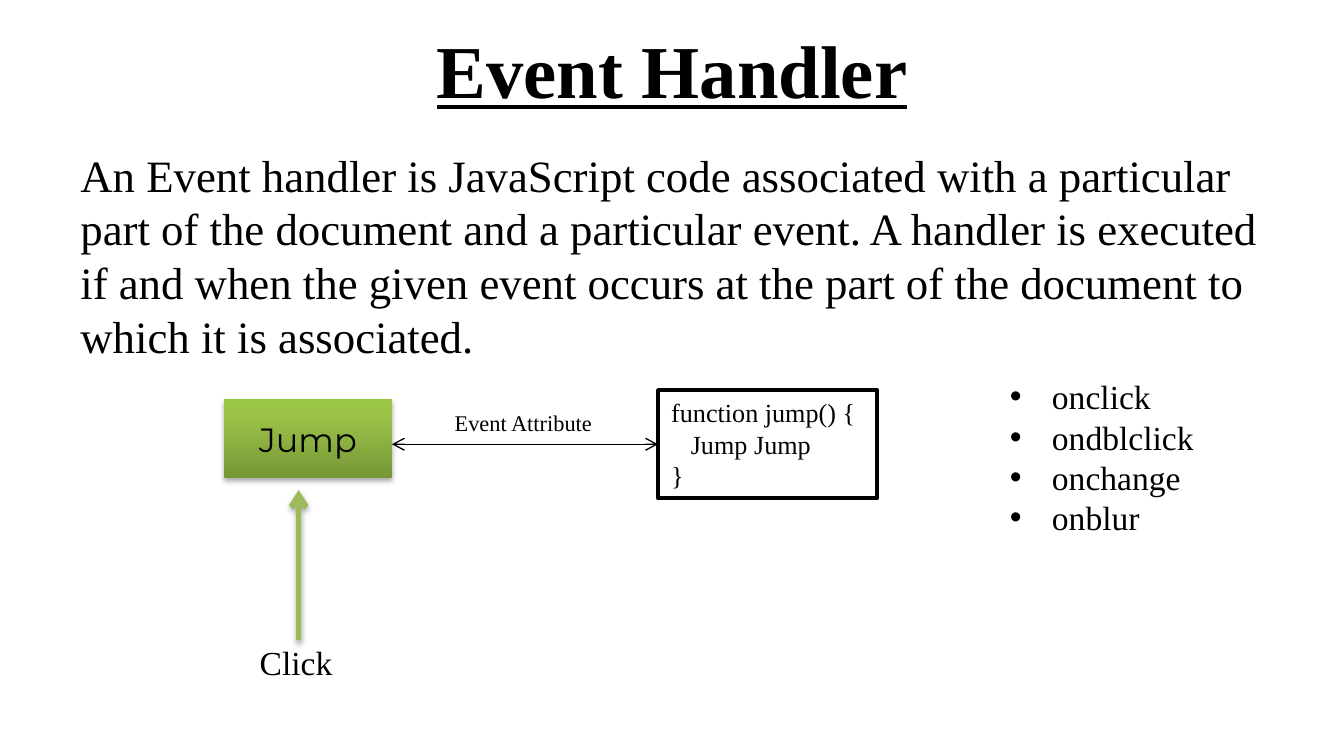
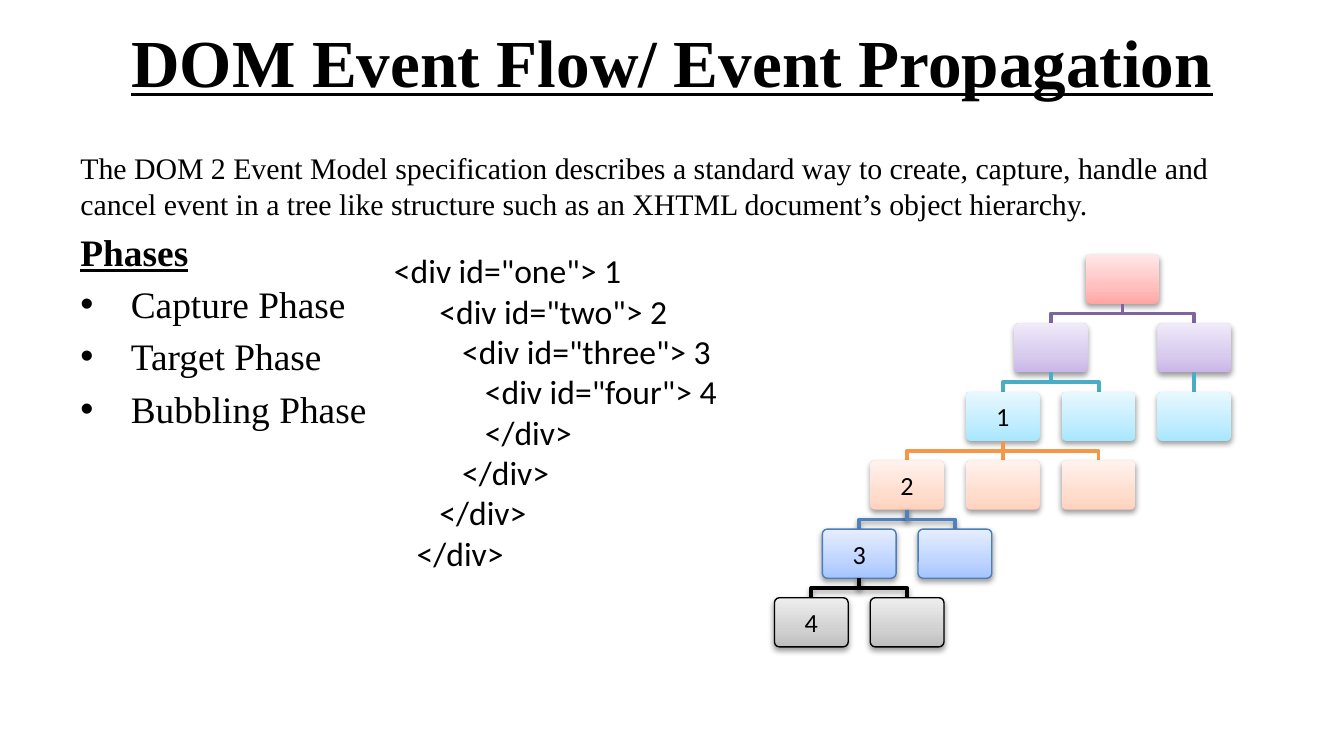
from dataclasses import dataclass, field
from typing import Any, NamedTuple, Optional

from lxml import etree
from pptx import Presentation
from pptx import util as u
from pptx.dml import color
from pptx.enum import shapes, text
from pptx.oxml import ns

Pt = u.Pt
BLACK = color.RGBColor(0x00, 0x00, 0x00)
WHITE = color.RGBColor(0xFF, 0xFF, 0xFF)
GREEN = color.RGBColor(0x9B, 0xBB, 0x59)
PURPLE = color.RGBColor(0x80, 0x64, 0xA2)
TEAL = color.RGBColor(0x4B, 0xAC, 0xC6)
ORANGE = color.RGBColor(0xF7, 0x96, 0x46)
BLUE = color.RGBColor(0x4F, 0x81, 0xBD)
BLUE_EDGE = color.RGBColor(0x4B, 0x7E, 0xBC)

SERIF, SANS, ROUNDED = "Times New Roman", "Calibri", "Montserrat"
TITLE_ONLY = 5
LEFT, CENTER = text.PP_ALIGN.LEFT, text.PP_ALIGN.CENTER
TOP, MIDDLE = text.MSO_ANCHOR.TOP, text.MSO_ANCHOR.MIDDLE
HEADING = {"bold": True, "underline": True}


class Box(NamedTuple):
    left: float
    top: float
    width: float
    height: float


class Stop(NamedTuple):
    percent: int
    rgb: str


class Shadow(NamedTuple):
    opacity: int
    blur: float
    distance: float


class LevelStyle(NamedTuple):
    stops: list[Stop]
    branch: color.RGBColor
    edge: Optional[color.RGBColor] = None


class Node(NamedTuple):
    level: int
    slot: float
    parent_slot: Optional[float] = None
    label: str = ""


@dataclass
class Line:
    content: str
    size: float
    face: str = SERIF
    align: Any = LEFT
    indent: float = 0
    before: float = 0
    extra: dict[str, Any] = field(default_factory=dict)


JUMP_SHADOW = Shadow(35, 3.1, 1.8)
TREE_SHADOW = Shadow(38, 3.1, 1.6)
JUMP_STOPS = [Stop(0, "779737"), Stop(80, "9BC348"), Stop(100, "9DC746")]


def tints(dark: str, medium: str, light: str) -> list[Stop]:
    return [Stop(0, dark), Stop(35, medium), Stop(100, light)]


LEVELS = [
    LevelStyle(tints("FFA6A5", "FFC0BF", "FFE7E7"), BLACK),
    LevelStyle(tints("C9B5E8", "D8CBEE", "F0EAF9"), PURPLE),
    LevelStyle(tints("A7E6FF", "C1EDFF", "E7F8FF"), TEAL),
    LevelStyle(tints("FFD2BD", "FFDED0", "FFF2ED"), ORANGE),
    LevelStyle(tints("A4C4FF", "BFD4FF", "E6EEFF"), BLUE, BLUE_EDGE),
    LevelStyle(tints("BDBDBD", "D1D1D1", "EEEEEE"), BLACK, BLACK),
]
TREE = [
    Node(0, 6.5),
    Node(1, 5, 6.5), Node(1, 8, 6.5),
    Node(2, 4, 5, "1"), Node(2, 6, 5), Node(2, 8, 8),
    Node(3, 2, 4, "2"), Node(3, 4, 4), Node(3, 6, 4),
    Node(4, 1, 2, "3"), Node(4, 3, 2),
    Node(5, 0, 1, "4"), Node(5, 2, 1),
]
TREE_LEFT, TREE_TOP = 414.9, 136.5
SLOT_STEP, LEVEL_STEP = 25.65, 36.75
NODE_WIDTH, NODE_HEIGHT = 39.5, 26.3


def assign(target: Any, formats: dict[str, Any]) -> None:
    for attribute, value in formats.items():
        setattr(target, attribute, value)


def lengths(box: Box) -> list[int]:
    return [Pt(value) for value in box]


def child(parent: Any, tag: str, **attributes: Any) -> Any:
    values = {key: str(value) for key, value in attributes.items()}
    return etree.SubElement(parent, ns.qn(tag), values)


def set_effects(item: Any, shadow: Optional[Shadow] = None) -> None:
    properties = item._element.spPr
    for old in properties.findall(ns.qn("a:effectLst")):
        properties.remove(old)
    effects = child(properties, "a:effectLst")
    if shadow:
        outer = child(effects, "a:outerShdw", blurRad=Pt(shadow.blur),
                      dist=Pt(shadow.distance), dir=90 * 60000, rotWithShape=0)
        tone = child(outer, "a:srgbClr", val=BLACK)
        child(tone, "a:alpha", val=shadow.opacity * 1000)


def set_gradient(item: Any, stops: list[Stop]) -> None:
    item.fill.gradient()
    item.fill.gradient_angle = 90
    stop_list = item._element.spPr.find(".//" + ns.qn("a:gsLst"))
    for old in list(stop_list):
        stop_list.remove(old)
    for stop in stops:
        mark = child(stop_list, "a:gs", pos=stop.percent * 1000)
        child(mark, "a:srgbClr", val=stop.rgb)


def set_line(item: Any, rgb: Optional[color.RGBColor], width: float = 0) -> None:
    if rgb is None:
        item.line.fill.background()
        return
    item.line.color.rgb = rgb
    item.line.width = Pt(width)


def write(frame: Any, lines: list[Line], **formats: Any) -> None:
    assign(frame, {"word_wrap": True, "vertical_anchor": TOP,
                   "auto_size": text.MSO_AUTO_SIZE.NONE} | formats)
    for number, line in enumerate(lines):
        paragraph = frame.add_paragraph() if number else frame.paragraphs[0]
        if line.indent:
            properties = paragraph._p.get_or_add_pPr()
            properties.set("marL", str(Pt(line.indent)))
            properties.set("indent", str(-Pt(line.indent)))
            child(properties, "a:buFont", typeface="Arial")
            child(properties, "a:buChar", char="•")
        assign(paragraph, {"alignment": line.align, "space_before": Pt(line.before)})
        run = paragraph.add_run()
        run.text = line.content
        assign(run.font, {"name": line.face, "size": Pt(line.size)} | line.extra)
        run.font.color.rgb = BLACK


def add_text(slide: Any, box: Box, lines: list[Line], **formats: Any) -> None:
    write(slide.shapes.add_textbox(*lengths(box)).text_frame, lines, **formats)


def add_box(slide: Any, kind: Any, box: Box, edge: Optional[color.RGBColor] = None,
            edge_width: float = 0, stops: Optional[list[Stop]] = None,
            shadow: Optional[Shadow] = None) -> Any:
    item = slide.shapes.add_shape(kind, *lengths(box))
    if stops:
        set_gradient(item, stops)
    else:
        item.fill.solid()
        item.fill.fore_color.rgb = WHITE
    set_line(item, edge, edge_width)
    set_effects(item, shadow)
    return item


def add_link(slide: Any, ends: tuple[float, float, float, float], rgb: color.RGBColor,
             width: float, heads: tuple[str, ...] = (),
             shadow: Optional[Shadow] = None) -> None:
    link = slide.shapes.add_connector(
        shapes.MSO_CONNECTOR.STRAIGHT, *[Pt(value) for value in ends])
    set_line(link, rgb, width)
    for head in heads:
        child(link.line._get_or_add_ln(), head, type="arrow")
    set_effects(link, shadow)


def add_titled_slide(deck: Any, title: str, size: float, top: float) -> Any:
    slide = deck.slides.add_slide(deck.slide_layouts[TITLE_ONLY])
    heading = slide.shapes.title
    places = ("left", "top", "width", "height")
    assign(heading, dict(zip(places, lengths(Box(36, top, 648, 67.5)))))
    write(heading.text_frame, [Line(title, size, align=CENTER, extra=HEADING)],
          vertical_anchor=MIDDLE)
    return slide


def add_branch(slide: Any, node: Node) -> None:
    style = LEVELS[node.level]
    shadow = TREE_SHADOW if style.edge else None
    start, end = (TREE_LEFT + slot * SLOT_STEP + NODE_WIDTH / 2
                  for slot in (node.parent_slot, node.slot))
    bottom = TREE_TOP + node.level * LEVEL_STEP
    top = bottom - LEVEL_STEP + NODE_HEIGHT
    if start == end:
        add_link(slide, (start, top, end, bottom), style.branch, 2, shadow=shadow)
        return
    bend = (top + bottom) / 2
    builder = slide.shapes.build_freeform(Pt(start), Pt(top))
    corners = [(start, bend), (end, bend), (end, bottom)]
    builder.add_line_segments([(Pt(x), Pt(y)) for x, y in corners], close=False)
    elbow = builder.convert_to_shape()
    elbow.fill.background()
    set_line(elbow, style.branch, 2)
    set_effects(elbow, shadow)


def add_node(slide: Any, node: Node) -> None:
    style = LEVELS[node.level]
    place = Box(TREE_LEFT + node.slot * SLOT_STEP, TREE_TOP + node.level * LEVEL_STEP,
                NODE_WIDTH, NODE_HEIGHT)
    item = add_box(slide, shapes.MSO_SHAPE.ROUNDED_RECTANGLE, place, style.edge, 0.75,
                   style.stops, TREE_SHADOW)
    item.adjustments[0] = 0.1
    if node.label:
        sides = ("margin_left", "margin_top", "margin_right", "margin_bottom")
        write(item.text_frame, [Line(node.label, 14, SANS, CENTER)],
              vertical_anchor=MIDDLE, **dict.fromkeys(sides, Pt(4)))


def build_handler(deck: Any) -> None:
    slide = add_titled_slide(deck, "Event Handler", 40, 3)
    definition = ("An Event handler is JavaScript code associated with a particular part of "
                  "the document and a particular event. A handler is executed if and when "
                  "the given event occurs at the part of the document to which it is "
                  "associated.")
    add_text(slide, Box(36, 70.5, 648, 267), [Line(definition, 24)], margin_top=Pt(8.4))
    rectangle = shapes.MSO_SHAPE.RECTANGLE
    button = add_box(slide, rectangle, Box(120, 214, 90, 42), stops=JUMP_STOPS,
                     shadow=JUMP_SHADOW)
    write(button.text_frame, [Line("Jump", 18, ROUNDED, CENTER)], vertical_anchor=MIDDLE)
    add_text(slide, Box(132, 340.5, 54, 29), [Line("Click", 18)], word_wrap=False)
    add_link(slide, (160, 343, 160, 262.5), GREEN, 3, ("a:tailEnd",), JUMP_SHADOW)
    function = add_box(slide, rectangle, Box(352.5, 209, 117.5, 58), BLACK, 2)
    code = ["function jump() {", "   Jump Jump", "}"]
    write(function.text_frame, [Line(row, 14) for row in code], word_wrap=False)
    add_link(slide, (210, 238, 352.5, 238), BLACK, 0.75, ("a:headEnd", "a:tailEnd"))
    add_text(slide, Box(236.5, 215.5, 89, 22), [Line("Event Attribute", 12)],
             word_wrap=False)
    events = ["onclick", "ondblclick", "onchange", "onblur"]
    add_text(slide, Box(534, 198, 114, 94), [Line(name, 18, indent=22.5) for name in events],
             word_wrap=False)


def build_propagation(deck: Any) -> None:
    slide = add_titled_slide(deck, "DOM Event Flow/ Event Propagation", 36, -1.5)
    summary = ("The DOM 2 Event Model specification describes a standard way to create, "
               "capture, handle and cancel event in a tree like structure such as an XHTML "
               "document’s object hierarchy.")
    phases = ["Capture Phase", "Target Phase", "Bubbling Phase"]
    add_text(slide, Box(36, 73.5, 648, 183.5),
             [Line(summary, 16), Line("Phases", 20, before=4, extra=HEADING)]
             + [Line(phase, 20, indent=27, before=4) for phase in phases],
             margin_top=Pt(6.8))
    for node in TREE:
        if node.parent_slot is not None:
            add_branch(slide, node)
        add_node(slide, node)
    code = [
        '<div id="one"> 1',
        '      <div id="two"> 2',
        '         <div id="three"> 3',
        '            <div id="four"> 4',
        '            </div>',
        '         </div>',
        '      </div>',
        '   </div>',
    ]
    add_text(slide, Box(204, 130.5, 222, 181.5), [Line(row, 18, SANS) for row in code])


def main() -> None:
    deck = Presentation()
    assign(deck, {"slide_width": Pt(720), "slide_height": Pt(405)})
    build_handler(deck)
    build_propagation(deck)
    deck.save("out.pptx")


if __name__ == "__main__":
    main()
